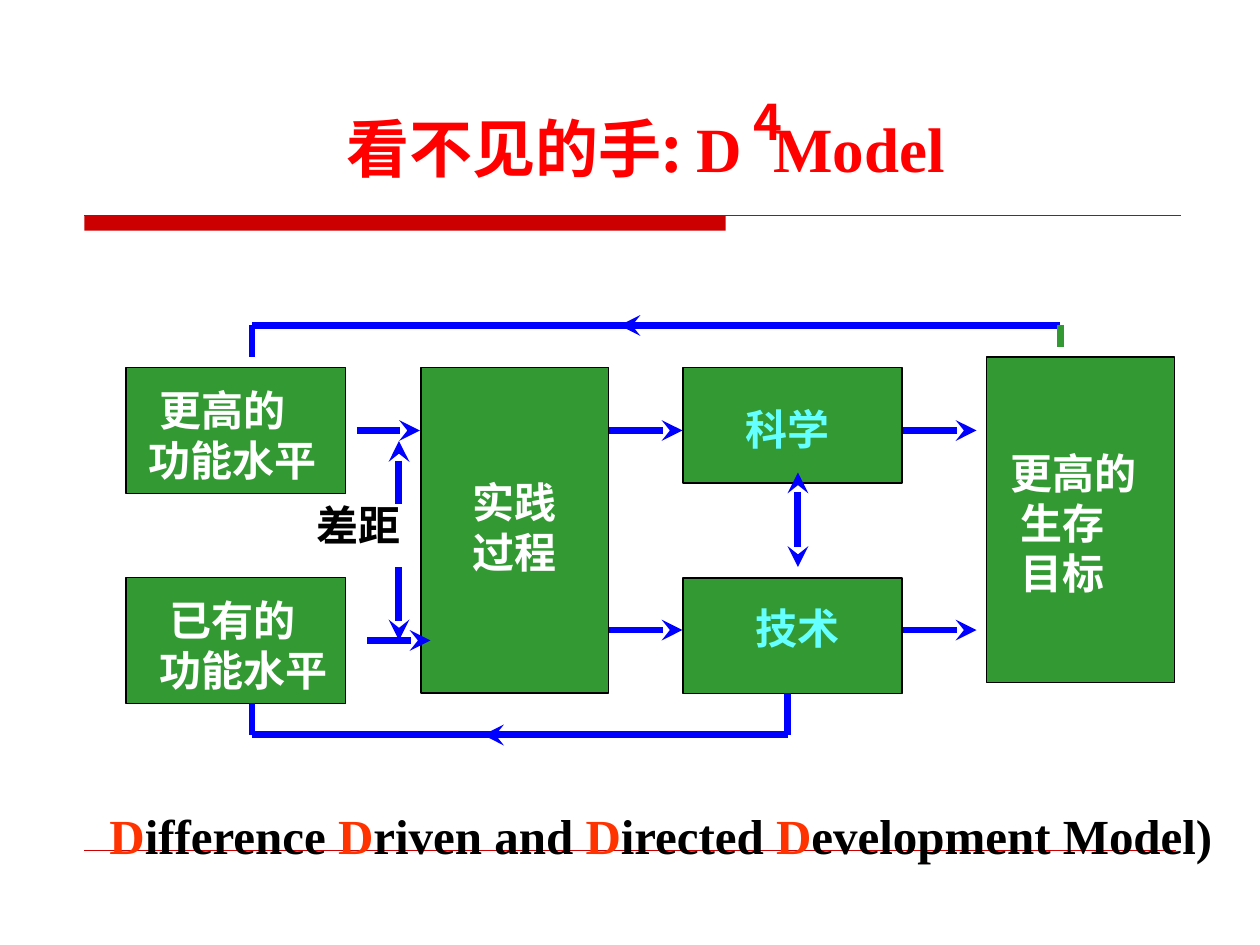
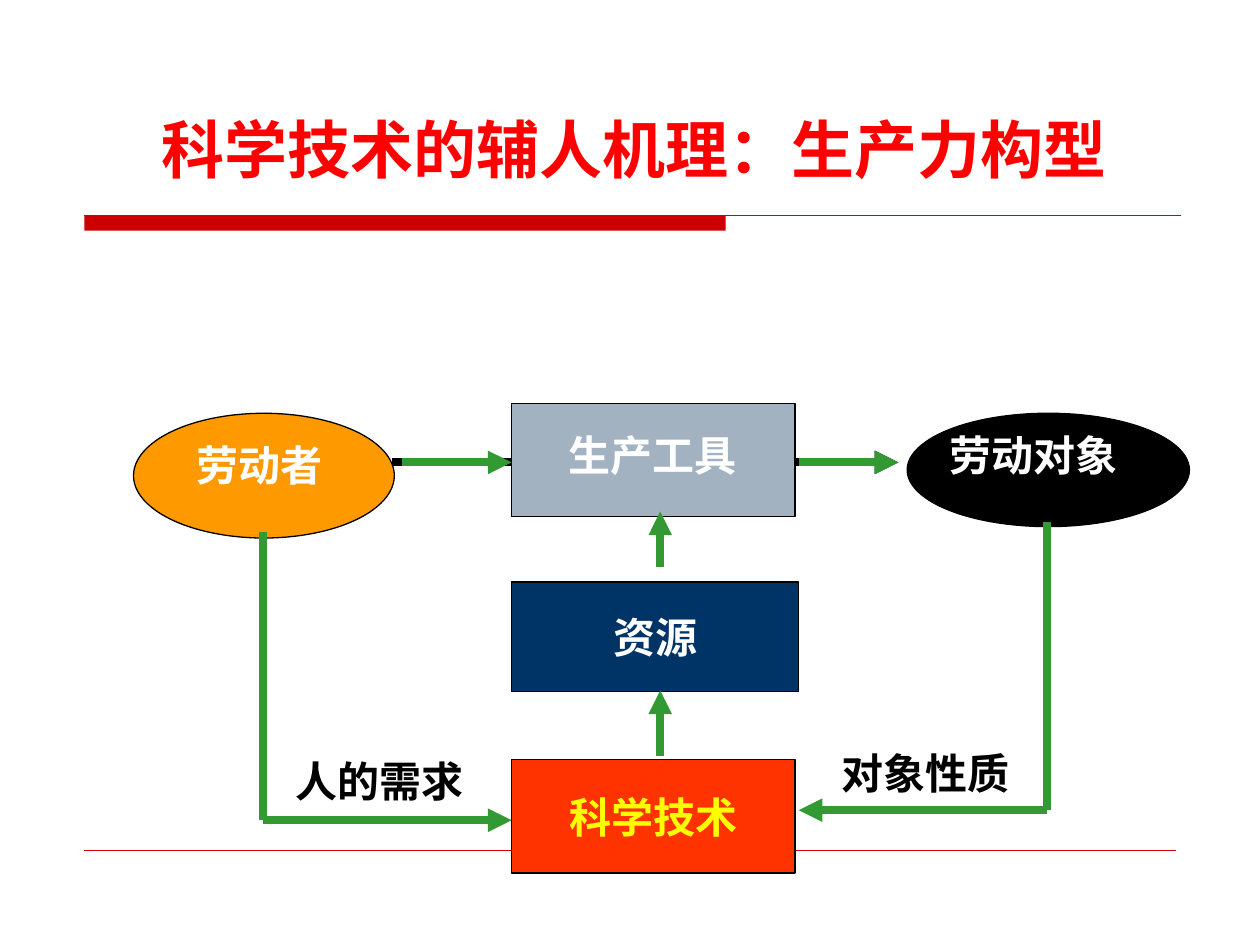
from dataclasses import dataclass
from typing import Any

from lxml.etree import SubElement
from pptx import Presentation
from pptx.dml.color import RGBColor
from pptx.enum.shapes import MSO_CONNECTOR, MSO_SHAPE
from pptx.enum.text import MSO_ANCHOR, PP_ALIGN
from pptx.oxml.ns import qn
from pptx.util import Pt

COLORS = {
    "white": "FFFFFF", "black": "000000", "band": "CC0000", "title": "FF0000",
    "green": "339933", "blue": "0000FF", "cyan": "66FFFF", "orange": "FF9900",
    "steel": "A3B2C1", "navy": "003366", "scarlet": "FF3300", "yellow": "FFFF00",
}
CJK, SERIF, SANS, TITLE_FONT = "Noto Sans CJK SC", "Times New Roman", "Arial", "Cabin"


@dataclass
class Run:
    text: str
    color: str = "white"
    font: str = CJK
    size: float = 24
    spacing: float = 0


@dataclass
class Line:
    runs: list[Run]
    indent: float = 0


@dataclass
class Label:
    left: float
    top: float
    width: float
    height: float
    lines: list[Line]
    centered: bool = False


@dataclass
class Block:
    left: float
    top: float
    width: float
    height: float
    fill: str = "green"
    kind: MSO_SHAPE = MSO_SHAPE.RECTANGLE
    run: Run | None = None
    outline: str | None = "black"


@dataclass
class Arrow:
    start: tuple[float, float]
    end: tuple[float, float]
    color: str = "blue"
    weight: float = 4
    head: str = ""
    tail: str = ""


def rgb(name: str) -> RGBColor:
    return RGBColor.from_string(COLORS[name])


def set_format(target: Any, values: dict[str, Any]) -> None:
    for name, value in values.items():
        setattr(target, name, value)


def write_lines(shape: Any, lines: list[Line], centered: bool, wrap: bool = True) -> None:
    frame = shape.text_frame
    set_format(frame, {
        "word_wrap": wrap,
        "vertical_anchor": MSO_ANCHOR.MIDDLE if centered else MSO_ANCHOR.TOP,
        "margin_left": Pt(7.2), "margin_right": Pt(7.2),
        "margin_top": Pt(3.6), "margin_bottom": Pt(3.6),
    })
    for index, line in enumerate(lines):
        paragraph = frame.add_paragraph() if index else frame.paragraphs[0]
        paragraph.alignment = PP_ALIGN.CENTER if centered else PP_ALIGN.LEFT
        if line.indent:
            paragraph._p.get_or_add_pPr().set("marL", str(Pt(line.indent)))
        for item in line.runs:
            run = paragraph.add_run()
            run.text = item.text
            set_format(run.font, {"name": item.font, "size": Pt(item.size), "bold": True})
            run.font.color.rgb = rgb(item.color)
            properties = run._r.get_or_add_rPr()
            SubElement(properties, qn("a:ea")).set("typeface", CJK)
            if item.spacing:
                properties.set("spc", str(round(item.spacing * 100)))


def draw_label(slide: Any, label: Label) -> None:
    box = slide.shapes.add_textbox(
        Pt(label.left), Pt(label.top), Pt(label.width), Pt(label.height))
    write_lines(box, label.lines, label.centered)


def draw_block(slide: Any, block: Block) -> None:
    shape = slide.shapes.add_shape(
        block.kind, Pt(block.left), Pt(block.top), Pt(block.width), Pt(block.height))
    shape.shadow.inherit = False
    shape.fill.solid()
    shape.fill.fore_color.rgb = rgb(block.fill)
    if block.outline:
        shape.line.color.rgb = rgb(block.outline)
        shape.line.width = Pt(0.75)
    else:
        shape.line.fill.background()
    if block.run:
        write_lines(shape, [Line([block.run])], centered=True, wrap=False)


def draw_arrow(slide: Any, arrow: Arrow) -> None:
    points = [Pt(value) for value in (*arrow.start, *arrow.end)]
    connector = slide.shapes.add_connector(MSO_CONNECTOR.STRAIGHT, *points)
    connector.line.color.rgb = rgb(arrow.color)
    connector.line.width = Pt(arrow.weight)
    outline = connector.line._get_or_add_ln()
    for tag, kind in (("a:headEnd", arrow.head), ("a:tailEnd", arrow.tail)):
        if kind:
            SubElement(outline, qn(tag)).set("type", kind)
    SubElement(connector._element.spPr, qn("a:effectLst"))


DRAWERS = {Label: draw_label, Block: draw_block, Arrow: draw_arrow}

# Title band and footer rule on every slide
FRAME = [
    Block(48.24, 123.12, 366.48, 8.64, "band", outline=None),
    Arrow((48.24, 123.12), (674.64, 123.12), "band", 0.75),
    Arrow((48.24, 486), (671.76, 486), "band", 0.25),
]


def add_slide(presentation: Any, items: list[Any]) -> None:
    slide = presentation.slides.add_slide(presentation.slide_layouts[6])
    for item in FRAME + items:
        DRAWERS[type(item)](slide, item)


def text_label(left: float, top: float, *texts: str, color: str = "white",
               font: str = CJK, indents: tuple[float, ...] = (0, 0, 0)) -> Label:
    lines = [Line([Run(text, color, font)], indent) for text, indent in zip(texts, indents)]
    return Label(left, top, 126, 36 * len(texts), lines)


def model_slide() -> list[Any]:
    title = Label(36, 48.24, 666, 72, [Line([
        Run("看不见的手: ", "title", CJK, 36), Run("D", "title", SERIF, 36),
        Run(" ", "title", SERIF, 36, spacing=9), Run("Model", "title", SERIF, 36),
    ])], centered=True)
    exponent = Label(423.36, 48.96, 36, 41, [Line([Run("4", "title", CJK, 28)])])

    level_width, stage_width, stage_height = 125.28, 107.28, 186
    blocks = [Block(72, top, level_width, 72) for top in (210, 330)]
    blocks += [Block(390.24, top, level_width, 66) for top in (210, 330.3)]
    blocks += [Block(left, top, stage_width, stage_height)
               for left, top in ((240.48, 210), (563.76, 204))]

    # Feedback loops above and below the boxes
    loops = [
        Arrow((144, 204), (144, 186)), Arrow((144, 186), (606, 186)),
        Arrow((606, 186), (606, 198), "green"),
        Arrow((144, 402), (144, 420)), Arrow((144, 420), (450, 420)),
        Arrow((450, 420), (450, 396)),
    ]
    loops += [Arrow((left, top), (left + 36, top), head="stealth")
              for left, top in ((354, 186), (276, 420))]

    # Flow from left to right, and the vertical gaps
    flows = [Arrow((left, top), (left + 36, top), tail="stealth")
             for left, top in ((210, 366), (204, 246))]
    flows += [Arrow((left, top), (left + 42, top), tail="stealth")
              for left in (348, 516) for top in (246, 360)]
    gaps = [
        Arrow((228, 324), (228, 366), tail="stealth"),
        Arrow((228, 252), (228, 288), head="stealth"),
        Arrow((456, 270), (456, 324), head="stealth", tail="stealth"),
    ]

    labels = [
        text_label(84, 336, "已有的", "功能水平", indents=(6, 0)),
        text_label(78, 216, "更高的", "功能水平", indents=(6, 0)),
        text_label(174, 282, "差距", color="black"),
        text_label(262.8, 268.56, "实践", "过程"),
        text_label(419, 226.8, "科学", color="cyan"),
        text_label(424.8, 340.56, "技术", color="cyan"),
        text_label(570.24, 252, "更高的", "生存", "目标", indents=(0, 6, 6)),
    ]

    # Model name with each initial picked out
    words = []
    for rest in ("ifference ", "riven and ", "irected ", "evelopment Model)"):
        words += [Run("D", "scarlet", SERIF, 28), Run(rest, "black", SERIF, 28)]
    caption = Label(55.5, 457, 664, 42, [Line(words)])
    return [title, *blocks, *gaps, *loops, *labels, caption, *flows, exponent]


def productivity_slide() -> list[Any]:
    title = Label(84.96, 59.76, 570, 50,
                  [Line([Run("科学技术的辅人机理：生产力构型", "title", TITLE_FONT, 36)])])
    column, width, height = 292.32, 162, 64.8
    blocks = [
        Block(76.32, 236.16, 149.04, 71.28, "orange", MSO_SHAPE.OVAL),
        Block(column, 230.4, width, height, "steel"),
        Block(518.4, 236.16, 161.28, height, "black", MSO_SHAPE.OVAL),
        Block(column, 434.16, width, height, "scarlet",
              run=Run("科学技术", "yellow", SERIF)),
        Block(column, 332.64, 164.16, 62.64, "navy", run=Run("资源", "white", SANS)),
    ]

    # Production chain, support from below, and the two return paths
    chain = Arrow((223.92, 264.24), (513.36, 264.24), "black", 4.5, tail="triangle")
    arrows = [Arrow(start, end, "green", 4.5, tail="triangle") for start, end in (
        ((377.28, 432), (377.28, 394.56)), ((377.28, 324), (377.28, 292.32)),
        ((229.68, 264.24), (column, 264.24)), ((456.48, 264.24), (513.36, 264.24)),
        ((150.48, 468.72), (column, 468.72)), ((598.32, 462.96), (456.48, 462.96)),
    )]
    stems = [Arrow((left, top), (left, top + 164.88), "green", 4.5)
             for left, top in ((150.48, 303.84), (598.32, 298.08))]

    labels = [
        text_label(317.52, 241.92, "生产工具"),
        text_label(535.68, 241.92, "劳动对象"),
        text_label(105.12, 247.68, "劳动者"),
        text_label(162, 428.4, "人的需求", color="black", font=SANS),
        text_label(473.76, 423.36, "对象性质", color="black", font=SANS),
    ]
    return [chain, title, *blocks, *stems, *arrows, *labels]


def main() -> None:
    presentation = Presentation()
    set_format(presentation, {"slide_width": Pt(720), "slide_height": Pt(540)})
    for items in (model_slide(), productivity_slide()):
        add_slide(presentation, items)
    presentation.save("out.pptx")


if __name__ == "__main__":
    main()
